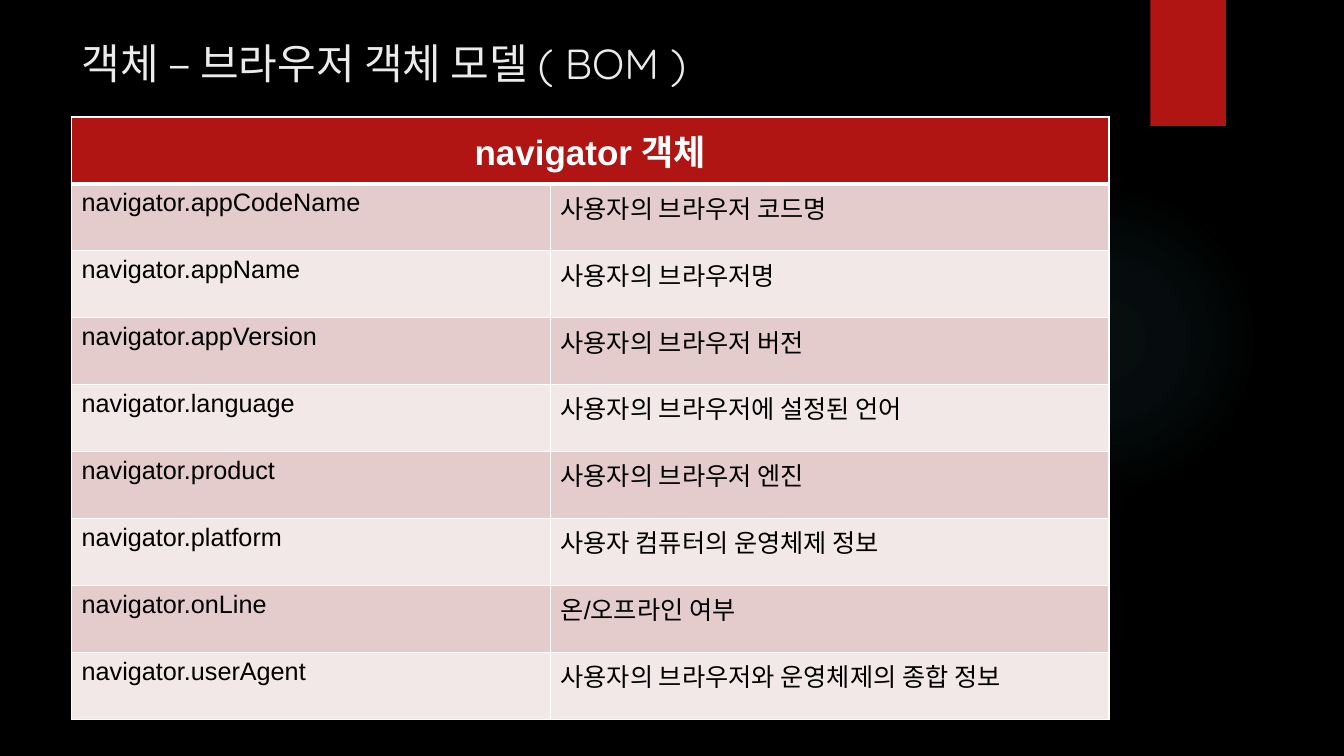
from lxml.etree import SubElement
from pptx import Presentation
from pptx.dml.color import RGBColor
from pptx.enum.shapes import MSO_SHAPE
from pptx.enum.text import MSO_ANCHOR, MSO_AUTO_SIZE, PP_ALIGN
from pptx.oxml import parse_xml
from pptx.oxml.ns import nsdecls, qn
from pptx.util import Inches, Pt

COLOURS = {
    "background": "000000", "accent": "B01513", "glow": "50B9C1",
    "title": "EBEBEB", "header": "FFFFFF", "body": "000000",
    "border": "FFFFFF", "odd": "E4CCCC", "even": "F2E8E7",
}
TITLE_FORMAT = {"size": Pt(30), "name": "Quicksand", "bold": False}
HEADER_FORMAT = {"size": Pt(25), "name": "Arial", "bold": True}
BODY_FORMAT = {"size": Pt(18), "name": "Arial", "bold": False}

PROPERTIES = [
    ("navigator.appCodeName", "사용자의 브라우저 코드명"),
    ("navigator.appName", "사용자의 브라우저명"),
    ("navigator.appVersion", "사용자의 브라우저 버전"),
    ("navigator.language", "사용자의 브라우저에 설정된 언어"),
    ("navigator.product", "사용자의 브라우저 엔진"),
    ("navigator.platform", "사용자 컴퓨터의 운영체제 정보"),
    ("navigator.onLine", "온/오프라인 여부"),
    ("navigator.userAgent", "사용자의 브라우저와 운영체제의 종합 정보"),
]


def colour(name):
    """Return the named colour."""
    return RGBColor.from_string(COLOURS[name])


def write(frame, text, colour_name, font_format, align=PP_ALIGN.LEFT):
    """Put one formatted paragraph into a text frame."""
    para = frame.paragraphs[0]
    para.alignment = align
    span = para.add_run()
    span.text = text
    span.font.color.rgb = colour(colour_name)
    for name, value in font_format.items():
        setattr(span.font, name, value)


def add_plain_shape(page, kind, box, colour_name):
    """Add a filled shape with no line or shadow."""
    shape = page.shapes.add_shape(kind, *map(Inches, box))
    shape.shadow.inherit = False
    shape.fill.solid()
    shape.fill.fore_color.rgb = colour(colour_name)
    shape.line.fill.background()
    return shape


def add_glow(page, box):
    """Add a faint circle that fades out from its centre."""
    glow = add_plain_shape(page, MSO_SHAPE.OVAL, box, "glow")
    stops = "".join(
        f'<a:gs pos="{position * 1000}"><a:srgbClr val="{COLOURS["glow"]}">'
        f'<a:alpha val="{alpha * 1000}"/></a:srgbClr></a:gs>'
        for position, alpha in [(0, 7), (36, 6), (69, 0)])
    gradient = parse_xml(
        f'<a:gradFill {nsdecls("a")}><a:gsLst>{stops}</a:gsLst><a:path path="circle">'
        '<a:fillToRect l="50000" t="50000" r="50000" b="50000"/></a:path></a:gradFill>')
    properties = glow.element.spPr
    properties.replace(properties.find(qn("a:solidFill")), gradient)


def add_title(page, box, text):
    """Place and format the title placeholder."""
    title = page.shapes.title
    title.left, title.top, title.width, title.height = map(Inches, box)
    frame = title.text_frame
    frame_format = {"word_wrap": True, "auto_size": MSO_AUTO_SIZE.NONE,
                    "vertical_anchor": MSO_ANCHOR.TOP}
    for name, value in frame_format.items():
        setattr(frame, name, value)
    write(frame, text, "title", TITLE_FORMAT)


def style_cell(cell, fill_name, bottom=1, top=1):
    """Fill a cell and draw its four borders."""
    properties = cell._tc.get_or_add_tcPr()
    for side, width in {"L": 1, "R": 1, "T": top, "B": bottom}.items():
        line = SubElement(properties, qn(f"a:ln{side}"), w=str(Pt(width)))
        fill = SubElement(line, qn("a:solidFill"))
        SubElement(fill, qn("a:srgbClr"), val=COLOURS["border"])
    cell.fill.solid()
    cell.fill.fore_color.rgb = colour(fill_name)


def add_property_table(page, box, heading, rows):
    """Add a table with a merged heading above banded rows."""
    left, top, width, height = box
    count = len(rows) + 1
    table = page.shapes.add_table(count, 2, *map(Inches, box)).table
    for column, column_width in zip(table.columns, (4.75, width - 4.75)):
        column.width = Inches(column_width)
    for row in table.rows:
        row.height = Inches(height / count)

    header = table.cell(0, 0)
    header.merge(table.cell(0, 1))
    for cell in table.rows[0].cells:
        style_cell(cell, "accent", bottom=3)
    header.vertical_anchor = MSO_ANCHOR.MIDDLE
    write(header.text_frame, heading, "header", HEADER_FORMAT, PP_ALIGN.CENTER)

    for number, texts in enumerate(rows, start=1):
        for column, text in enumerate(texts):
            cell = table.cell(number, column)
            style_cell(cell, "odd" if number % 2 else "even", top=3 if number == 1 else 1)
            write(cell.text_frame, text, "body", BODY_FORMAT)


def build_navigator_slide(deck):
    """Build the slide on the navigator object."""
    page = deck.slides.add_slide(deck.slide_layouts[5])
    page.background.fill.solid()
    page.background.fill.fore_color.rgb = colour("background")
    add_glow(page, (9.41, 1.83, 3.08, 3.08))
    add_plain_shape(page, MSO_SHAPE.RECTANGLE, (11.41, 0, 0.75, 1.25), "accent")
    add_title(page, (0.71, 0.32, 10.29, 0.84), "객체 – 브라우저 객체 모델 ( BOM )")
    add_property_table(page, (0.71, 1.16, 10.29, 5.98), "navigator 객체", PROPERTIES)


deck = Presentation()
deck.slide_width, deck.slide_height = Inches(13.33), Inches(7.5)
build_navigator_slide(deck)
deck.save("out.pptx")
